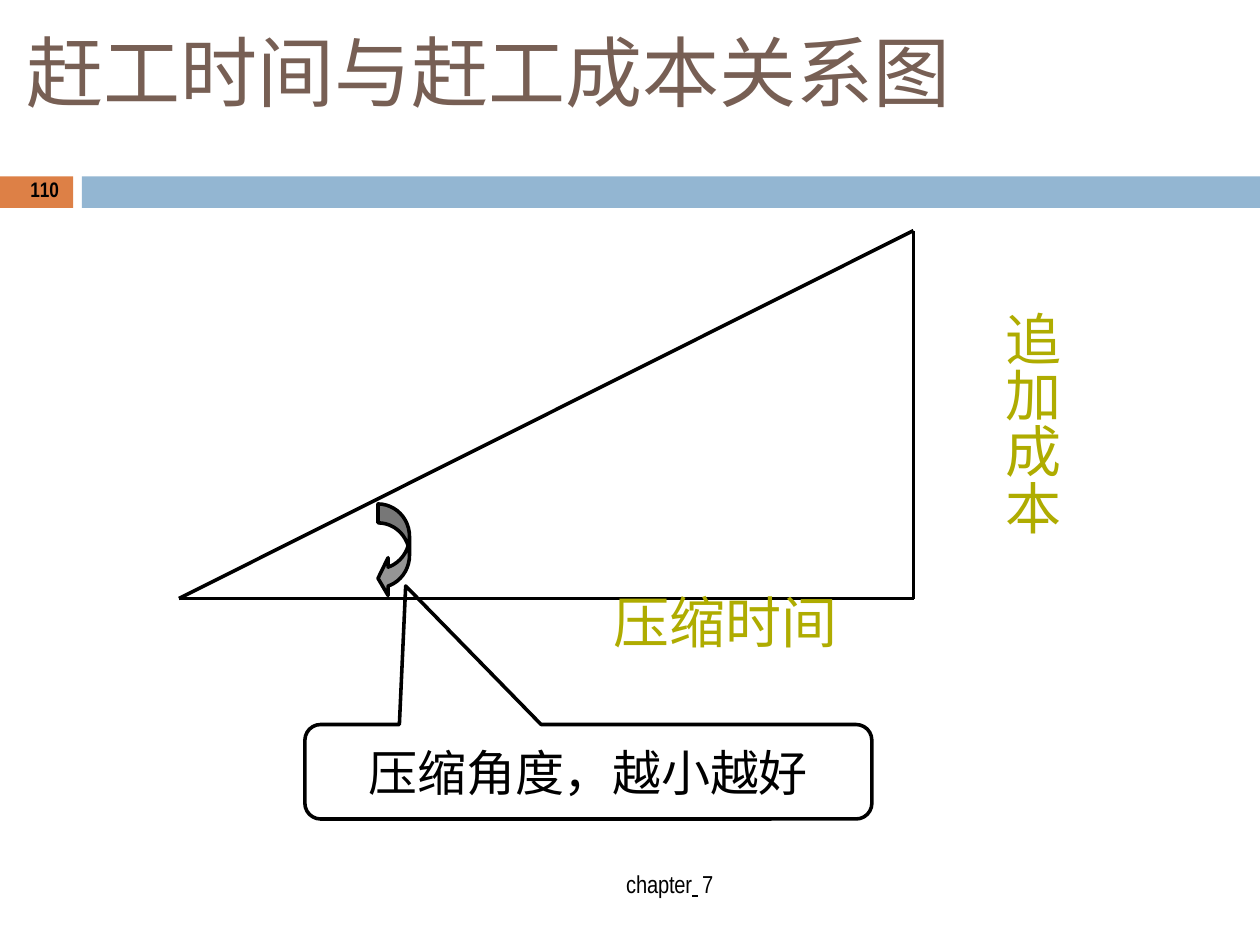
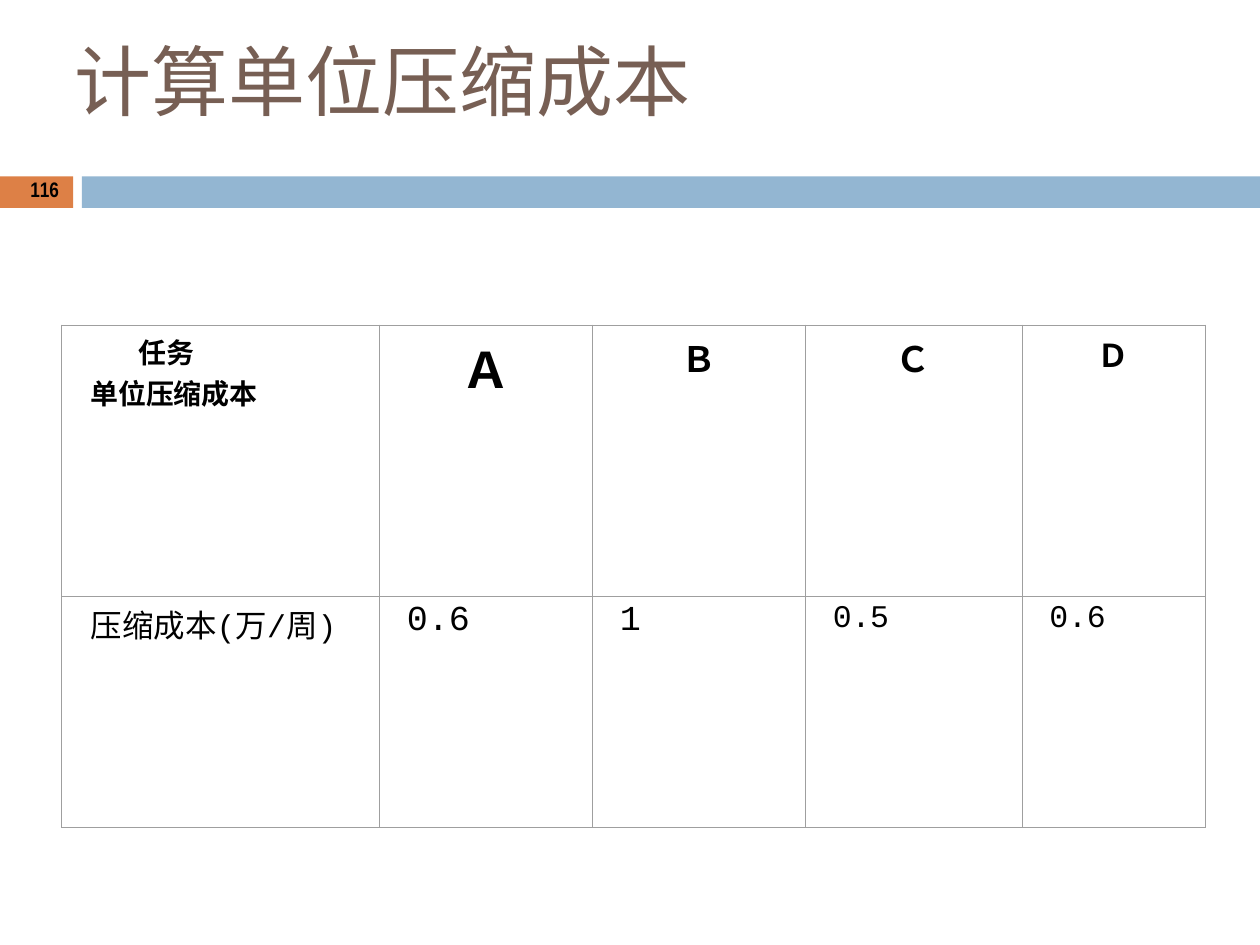
import pptx
import pptx.dml.color
import pptx.enum.shapes
import pptx.enum.text
import pptx.oxml.ns
import pptx.util
from lxml import etree

Inches = pptx.util.Inches
Pt = pptx.util.Pt
PRESET = pptx.enum.shapes.MSO_SHAPE
ALIGN = pptx.enum.text.PP_ALIGN
ANCHOR = pptx.enum.text.MSO_ANCHOR
qn = pptx.oxml.ns.qn

CJK = "Noto Sans CJK SC"
NARROW = "Arial Narrow"
MONO = "Courier New"
BLACK = "000000"
TITLE_BROWN = "775F54"
BAND_ORANGE = "DD8046"
BAND_BLUE = "93B6D2"
LABEL_OLIVE = "AFAC00"
ARROW_GREY = "959595"
GRID_GREY = "9F9F9F"
LINE_WIDTH = 2.04


def color(hex_code):
    return pptx.dml.color.RGBColor.from_string(hex_code)


def add_span(para, text, size, face=CJK, hex_code=BLACK, bold=False, spacing=0):
    """Add one run; spacing is the letter spacing in points."""
    span = para.add_run()
    span.text = text
    span.font.size = Pt(size)
    span.font.name = face
    span.font.bold = bold
    span.font.color.rgb = color(hex_code)
    props = span.font._element
    etree.SubElement(props, qn("a:ea")).set("typeface", face)
    if spacing:
        props.set("spc", str(round(spacing * 100)))
    return span


def prepare_frame(frame, anchor=ANCHOR.TOP, top=0.01):
    """Set wrapping and insets, and return the first paragraph."""
    frame.word_wrap = True
    frame.auto_size = pptx.enum.text.MSO_AUTO_SIZE.NONE
    frame.vertical_anchor = anchor
    frame.margin_left = frame.margin_right = frame.margin_bottom = 0
    frame.margin_top = Inches(top)
    return frame.paragraphs[0]


def add_text_box(page, left, top, width, height):
    box = page.shapes.add_textbox(*map(Inches, (left, top, width, height)))
    return prepare_frame(box.text_frame)


def add_preset(page, preset, left, top, width, height, fill=None, line=None):
    shape = page.shapes.add_shape(preset, *map(Inches, (left, top, width, height)))
    shape.shadow.inherit = False
    if fill:
        shape.fill.solid()
        shape.fill.fore_color.rgb = color(fill)
    else:
        shape.fill.background()
    if line:
        shape.line.color.rgb = color(line)
        shape.line.width = Pt(LINE_WIDTH)
    else:
        shape.line.fill.background()
    return shape


def add_page(deck, title, number, left, top, width):
    """Start a title-only slide with the two bands, the title and the page number."""
    page = deck.slides.add_slide(deck.slide_layouts[5])
    add_preset(page, PRESET.RECTANGLE, 0, 1.4, 0.58, 0.25, BAND_ORANGE)
    add_preset(page, PRESET.RECTANGLE, 0.65, 1.4, 9.35, 0.25, BAND_BLUE)

    holder = page.shapes.title
    holder.left, holder.top = Inches(left), Inches(top)
    holder.width, holder.height = Inches(width), Inches(0.76)
    para = prepare_frame(holder.text_frame, ANCHOR.MIDDLE)
    para.alignment = ALIGN.LEFT
    add_span(para, title, 44, hex_code=TITLE_BROWN)

    para = add_text_box(page, 0.24, 1.39, 0.25, 0.23)
    add_span(para, number[0], 12, NARROW, bold=True, spacing=-0.5)
    add_span(para, number[1:], 12, NARROW, bold=True)
    return page


def add_footer(page, left, top):
    para = add_text_box(page, left, top, 0.82, 0.26)
    add_span(para, "chapter", 14, NARROW, spacing=-0.1)
    add_span(para, " ", 14, NARROW, spacing=2.5).font.underline = True
    add_span(para, "7", 14, NARROW)


def add_triangle(page, left, top, width, height):
    """Draw the right triangle of time and cost, with a label on each leg."""
    right, bottom = left + width, top + height
    corners = [(left, bottom), (right, bottom), (right, top)]
    for start, end in zip(corners, corners[1:] + corners[:1]):
        side = page.shapes.add_connector(
            pptx.enum.shapes.MSO_CONNECTOR.STRAIGHT, *map(Inches, start + end))
        side.line.color.rgb = color(BLACK)
        side.line.width = Pt(LINE_WIDTH)
        etree.SubElement(side._element.spPr, qn("a:effectLst"))

    cost = add_text_box(page, right + 0.73, top + 0.67, 0.46, 1.8)
    cost.line_spacing = Pt(32)
    add_span(cost, "追 加 成 本", 32, hex_code=LABEL_OLIVE)
    time = add_text_box(page, left + 3.42, bottom - 0.1, 1.84, 0.64)
    time.alignment = ALIGN.CENTER
    add_span(time, "压缩时间", 32, hex_code=LABEL_OLIVE)


def add_angle_arrow(page, left, top, width, height):
    arrow = add_preset(page, PRESET.CURVED_LEFT_ARROW, left, top, width, height,
                       ARROW_GREY, BLACK)
    shaft, head_width, head_length = 0.15, 0.3, 0.08
    for index, length in enumerate((shaft, head_width, head_length)):
        arrow.adjustments[index] = length / width


def add_callout(page, left, top, width, height, tip):
    """Draw a rounded callout whose pointer ends at tip."""
    callout = add_preset(page, PRESET.ROUNDED_RECTANGULAR_CALLOUT,
                         left, top, width, height, line=BLACK)
    callout.adjustments[0] = (tip[0] - left) / width - 0.5
    callout.adjustments[1] = (tip[1] - top) / height - 0.5
    callout.adjustments[2] = 1 / 6
    para = prepare_frame(callout.text_frame, ANCHOR.MIDDLE, top=0)
    para.alignment = ALIGN.CENTER
    add_span(para, "压", 28)
    add_span(para, "缩角度，越小越好", 28, spacing=-0.1)


def add_borders(cell, outer_sides):
    props = cell._tc.get_or_add_tcPr()
    for side in "LRTB":
        border = etree.SubElement(props, qn(f"a:ln{side}"))
        border.set("w", str(Pt(0.75 if side in outer_sides else 0.25)))
        fill = etree.SubElement(border, qn("a:solidFill"))
        etree.SubElement(fill, qn("a:srgbClr")).set("val", GRID_GREY)


def indent(para, width):
    para._p.get_or_add_pPr().set("marL", str(Inches(width)))


def add_cost_table(page, left, top, column_widths, row_heights):
    frame = page.shapes.add_table(
        len(row_heights), len(column_widths), Inches(left), Inches(top),
        Inches(sum(column_widths)), Inches(sum(row_heights)))
    table = frame.table
    table.first_row = table.horz_banding = False
    for column, width in zip(table.columns, column_widths):
        column.width = Inches(width)
    for row, height in zip(table.rows, row_heights):
        row.height = Inches(height)

    last_row, last_column = len(row_heights) - 1, len(column_widths) - 1
    for r in range(last_row + 1):
        for c in range(last_column + 1):
            cell = table.cell(r, c)
            cell.margin_left = cell.margin_right = cell.margin_bottom = 0
            cell.margin_top = Inches(0.04 if r else 0.05)
            outer = {"T": r == 0, "B": r == last_row, "L": c == 0, "R": c == last_column}
            add_borders(cell, [side for side, is_outer in outer.items() if is_outer])
            cell.fill.background()

    corner = table.cell(0, 0).text_frame
    for para, text, inset in ((corner.paragraphs[0], "任务", 0.61),
                              (corner.add_paragraph(), "单位压缩成本", 0.23)):
        indent(para, inset)
        add_span(para, text, 16, bold=True, spacing=-0.1)

    unit = table.cell(1, 0).text_frame.paragraphs[0]
    indent(unit, 0.23)
    add_span(unit, "压缩成", 18)
    add_span(unit, "本", 18, spacing=-0.1)
    for mark in "(万/周)":
        add_span(unit, mark, 18, CJK if mark in "万周" else MONO)

    tasks = [("Ａ", 28, "0.6", 20), ("Ｂ", 20, "1", 20),
             ("Ｃ", 20, "0.5", 18), ("Ｄ", 18, "0.6", 18)]
    for c, (task, task_size, cost, cost_size) in enumerate(tasks, 1):
        para = table.cell(0, c).text_frame.paragraphs[0]
        para.alignment = ALIGN.CENTER
        add_span(para, task, task_size, bold=True)
        para = table.cell(1, c).text_frame.paragraphs[0]
        indent(para, 0.22)
        add_span(para, cost, cost_size, MONO, spacing=-0.1 if cost_size == 18 else 0)


def build_relation_page(deck):
    page = add_page(deck, "赶工时间与赶工成本关系图", "110", 0.21, 0.18, 7.37)
    add_footer(page, 4.97, 6.89)
    add_triangle(page, 1.42, 1.83, 5.83, 2.92)
    add_angle_arrow(page, 3, 4, 0.25, 0.74)
    add_callout(page, 2.42, 5.75, 4.5, 0.75, tip=(3.22, 4.65))


def build_unit_cost_page(deck):
    page = add_page(deck, "计算单位压缩成本", "116", 0.59, 0.25, 4.92)
    add_cost_table(page, 0.49, 2.58, (2.52, 1.69, 1.69, 1.72, 1.46), (2.15, 1.84))


def main():
    deck = pptx.Presentation()
    deck.slide_width, deck.slide_height = Inches(10), Inches(7.5)
    build_relation_page(deck)
    build_unit_cost_page(deck)
    deck.save("out.pptx")


if __name__ == "__main__":
    main()
